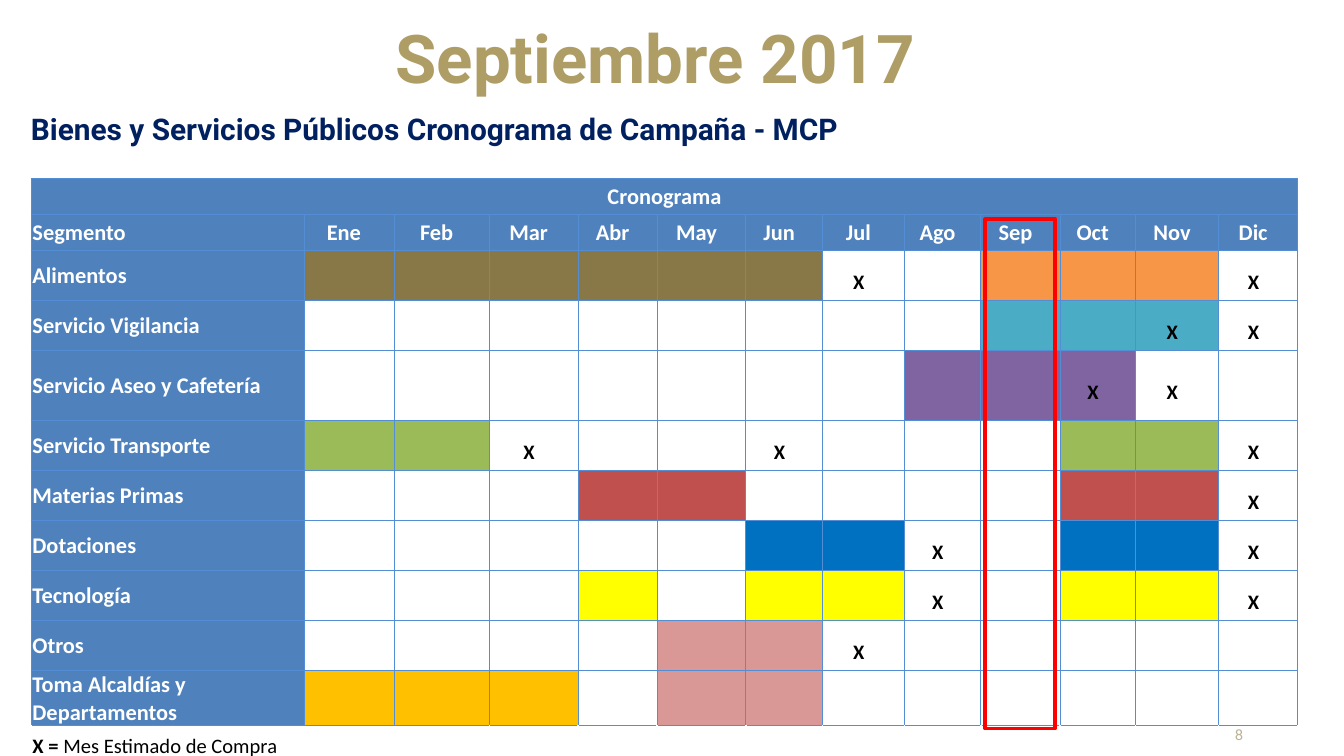
"""Build the monthly campaign schedule slide."""
from lxml import etree
from pptx import Presentation
from pptx import util as u
from pptx.dml.color import RGBColor
from pptx.enum import shapes, text
from pptx.oxml.ns import qn

COLORS = {
    "gold": "AF9D66", "navy": "002060", "page": "BCB296", "white": "FFFFFF",
    "black": "000000", "header": "4F81BD", "border": "538ED5", "red": "FF0000",
    "b": "887847", "o": "F79646", "t": "4BACC6", "p": "8064A2", "g": "9BBB59",
    "r": "C0504D", "d": "0070C0", "y": "FFFF00", "k": "D99795", "a": "FFC000",
}
MONTHS = "Ene Feb Mar Abr May Jun Jul Ago Sep Oct Nov Dic".split()
SEGMENTS = [
    ("Alimentos", "bbbbbb..ooo.", "Jul Dic"),
    ("Servicio Vigilancia", "........ttt.", "Nov Dic"),
    ("Servicio Aseo y Cafetería", ".......ppp..", "Oct Nov"),
    ("Servicio Transporte", "gg.......gg.", "Mar Jun Dic"),
    ("Materias Primas", "...rr....rr.", "Dic"),
    ("Dotaciones", ".....dd..dd.", "Ago Dic"),
    ("Tecnología", "...y.yy..yy.", "Ago Dic"),
    ("Otros", "....kk......", "Jul"),
    ("Toma Alcaldías y Departamentos", "aaa.kk......", ""),
]
COL_WIDTHS = [146.2, 48.2, 51.1, 47.5, 42.5, 47.5, 41, 43.9, 41, 42.5, 40.3, 44.6, 42.5]
ROW_HEIGHTS = [19.3, 19.3, 26.8, 26.8, 37.4] + [26.8] * 6 + [18]


def rgb(name):
    """Return the named colour."""
    return RGBColor.from_string(COLORS[name])


def write(p, content, size=12, font="Calibri", color="white", bold=True, align="LEFT", spacing=None):
    """Add a formatted run to a paragraph."""
    p.alignment = getattr(text.PP_ALIGN, align)
    if spacing:
        p.line_spacing = spacing
    r = p.add_run()
    r.text = content
    r.font.size, r.font.name, r.font.bold = u.Pt(size), font, bold
    r.font.color.rgb = rgb(color)


def add_text(s, content, left, top, width, height, anchor="TOP", right_inset=0, **fmt):
    """Add a text box with one line of text."""
    tf = s.shapes.add_textbox(u.Pt(left), u.Pt(top), u.Pt(width), u.Pt(height)).text_frame
    tf.word_wrap = True
    tf.margin_left = tf.margin_top = tf.margin_bottom = 0
    tf.margin_right = u.Pt(right_inset)
    tf.vertical_anchor = getattr(text.MSO_ANCHOR, anchor)
    write(tf.paragraphs[0], content, font="Roboto", **fmt)


def style_cell(cell, fill=None, sides="LRTB", right_inset=0.7, anchor="MIDDLE"):
    """Set a cell's margins, borders and fill, and return its paragraph."""
    cell.margin_left = cell.margin_top = u.Pt(0.7)
    cell.margin_right, cell.margin_bottom = u.Pt(right_inset), 0
    cell.vertical_anchor = getattr(text.MSO_ANCHOR, anchor)
    tc_pr = cell._tc.get_or_add_tcPr()
    for side in sides:
        ln = etree.SubElement(tc_pr, qn(f"a:ln{side}"), w=str(u.Pt(0.5)))
        solid = etree.SubElement(ln, qn("a:solidFill"))
        etree.SubElement(solid, qn("a:srgbClr"), val=COLORS["border"])
    if fill:
        cell.fill.solid()
        cell.fill.fore_color.rgb = rgb(fill)
    else:
        cell.fill.background()
    return cell.text_frame.paragraphs[0]


def shrink_empty(p):
    """Give an empty paragraph a small font so its row keeps its height."""
    etree.SubElement(p._p, qn("a:endParaRPr"), sz="1100")


def add_schedule(s):
    """Add the schedule table."""
    rows, cols = len(ROW_HEIGHTS), len(COL_WIDTHS)
    table = s.shapes.add_table(rows, cols, u.Pt(16.7), u.Pt(95.6),
                               u.Pt(sum(COL_WIDTHS)), u.Pt(sum(ROW_HEIGHTS))).table
    table.first_row = table.horz_banding = False
    for column, width in zip(table.columns, COL_WIDTHS):
        column.width = u.Pt(width)
    for row, height in zip(table.rows, ROW_HEIGHTS):
        row.height = u.Pt(height)

    top = [style_cell(table.cell(0, c), "header") for c in range(cols)]
    table.cell(0, 0).merge(table.cell(0, cols - 1))
    write(top[0], "Cronograma", align="CENTER")
    write(style_cell(table.cell(1, 0), "header"), "Segmento")
    for c, month in enumerate(MONTHS, 1):
        write(style_cell(table.cell(1, c), "header", right_inset=6.1), month, align="CENTER")

    for i, (name, plan, purchases) in enumerate(SEGMENTS, 2):
        write(style_cell(table.cell(i, 0), "header"), name)
        for c, (month, key) in enumerate(zip(MONTHS, plan), 1):
            p = style_cell(table.cell(i, c), COLORS.get(key) and key, right_inset=5.7)
            if month in purchases.split():
                write(p, "X", size=11, color="black", align="CENTER", spacing=1.5)
            else:
                shrink_empty(p)

    legend = [style_cell(table.cell(rows - 1, c), sides="T", anchor="BOTTOM") for c in range(cols)]
    table.cell(rows - 1, 0).merge(table.cell(rows - 1, 2))
    write(legend[0], "X =", size=11, color="black")
    write(legend[0], " Mes Estimado de Compra", size=11, color="black", bold=False)
    for p in legend[1:]:
        shrink_empty(p)


def add_month_frame(s):
    """Outline the current month's column."""
    sp = s.shapes.add_shape(shapes.MSO_SHAPE.RECTANGLE, u.Pt(527.8), u.Pt(117.4), u.Pt(37.4), u.Pt(272.9))
    sp.shadow.inherit = False
    sp.fill.background()
    sp.line.color.rgb = rgb("red")
    sp.line.width = u.Pt(2)


def main():
    """Build and save the slide."""
    prs = Presentation()
    prs.slide_width, prs.slide_height = u.Pt(720), u.Pt(405)
    s = prs.slides.add_slide(prs.slide_layouts[6])
    add_text(s, "8", 643, 388.8, 23, 9.4, anchor="BOTTOM", size=8, color="page", bold=False, align="RIGHT")
    add_text(s, "Septiembre 2017", 170.6, 0, 370, 47.5, right_inset=9,
             size=36, color="gold", align="CENTER", spacing=1.2)
    add_text(s, "Bienes y Servicios Públicos Cronograma de Campaña - MCP", 16.6, 55.4, 681, 23,
             size=16, color="navy", spacing=1.2)
    add_schedule(s)
    add_month_frame(s)
    prs.save("out.pptx")


if __name__ == "__main__":
    main()
